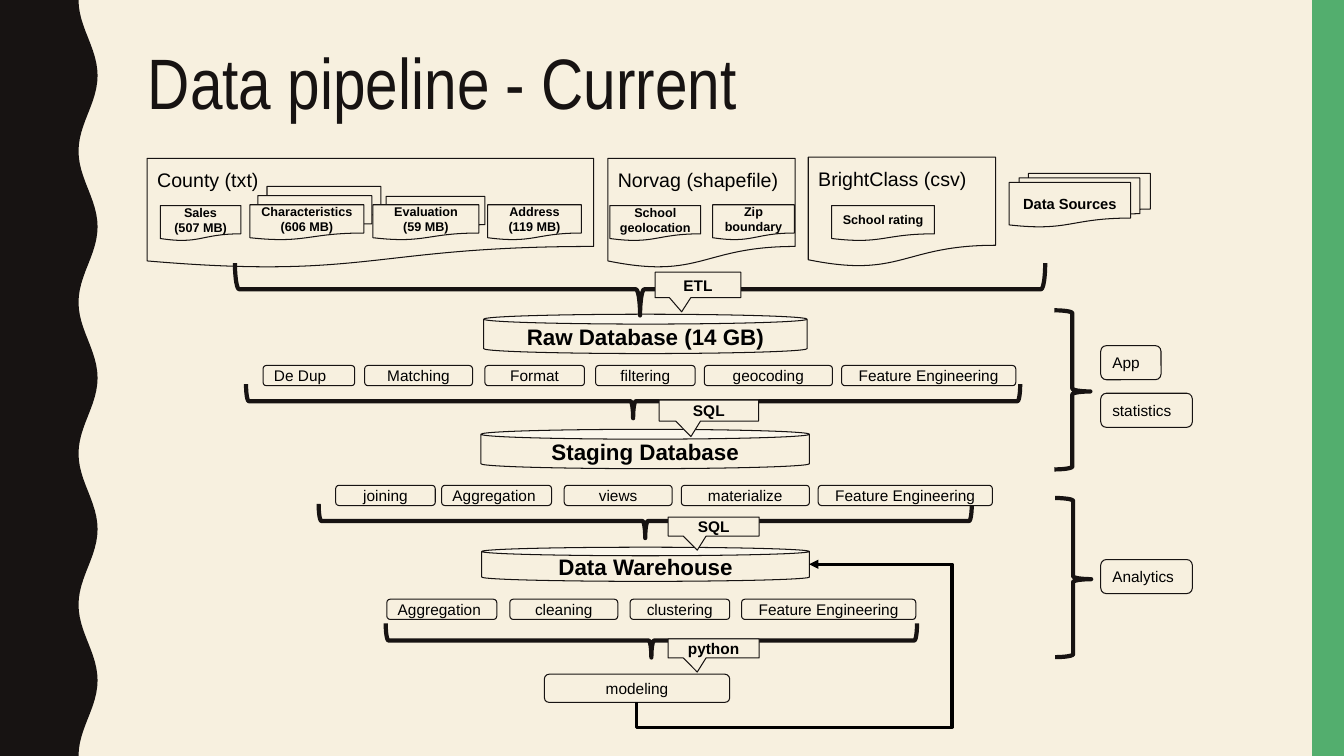
"""Build the slide that shows the current data pipeline."""
import math
from dataclasses import dataclass

from lxml import etree
from pptx import Presentation
from pptx import util as u
from pptx.dml.color import RGBColor
from pptx.enum import shapes, text
from pptx.oxml.ns import qn

KIND = shapes.MSO_SHAPE
CENTER, LEFT = text.PP_ALIGN.CENTER, text.PP_ALIGN.LEFT
TOP, MIDDLE = text.MSO_ANCHOR.TOP, text.MSO_ANCHOR.MIDDLE


@dataclass(frozen=True)
class Theme:
    paper: RGBColor = RGBColor(0xF7, 0xF0, 0xDF)
    ink: RGBColor = RGBColor(0x17, 0x13, 0x12)
    black: RGBColor = RGBColor(0, 0, 0)
    green: RGBColor = RGBColor(0x53, 0xAE, 0x6E)
    body_font: str = "Arial"
    title_font: str = "Arial Narrow"
    title: float = 51
    database: float = 16
    source: float = 14
    step: float = 11
    bundle: float = 10.5
    file: float = 9
    thin: float = 0.75
    arrow: float = 2.25
    thick: float = 3


class Canvas:
    """Hold the theme and the current slide, and draw each kind of element."""

    def __init__(self, slide, theme):
        self.slide, self.theme = slide, theme
        slide.background.fill.solid()
        slide.background.fill.fore_color.rgb = theme.paper

    def paint(self, shape, fill=None, line=None):
        shape.shadow.inherit = False
        if fill is None:
            shape.fill.background()
        else:
            shape.fill.solid()
            shape.fill.fore_color.rgb = fill
        if line is None:
            shape.line.fill.background()
        else:
            shape.line.color.rgb = self.theme.ink
            shape.line.width = u.Pt(line)

    def label(self, shape, words, size, bold=False, align=CENTER, anchor=MIDDLE, **font):
        frame = shape.text_frame
        inset = u.Cm(0.25)
        layout = dict(word_wrap=True, vertical_anchor=anchor, margin_left=inset,
                      margin_right=inset, margin_top=inset, margin_bottom=inset)
        for name, value in layout.items():
            setattr(frame, name, value)
        frame.text = words
        style = dict(name=self.theme.body_font, size=u.Pt(size), bold=bold) | font
        for paragraph in frame.paragraphs:
            paragraph.alignment = align
            for run in paragraph.runs:
                for name, value in style.items():
                    setattr(run.font, name, value)
                run.font.color.rgb = self.theme.black

    def box(self, kind, place, words="", size=11, adjust=(), **style):
        shape = self.slide.shapes.add_shape(kind, *map(u.Cm, place))
        self.paint(shape, self.theme.paper, self.theme.thin)
        for index, value in enumerate(adjust):
            shape.adjustments[index] = value
        if words:
            self.label(shape, words, size, **style)

    def brace(self, left, top, width, height, turned=False):
        if turned:
            left, top = left + (width - height) / 2, top + (height - width) / 2
            width, height = height, width
        shape = self.slide.shapes.add_shape(
            KIND.RIGHT_BRACE, *map(u.Cm, (left, top, width, height)))
        shape.rotation = 90 if turned else 0
        shape.adjustments[0] = 0.08
        shape.adjustments[1] = 0.5 if turned else 0.51
        self.paint(shape, line=self.theme.thick)

    def title(self, place, words):
        shape = self.slide.shapes.add_textbox(*map(u.Cm, place))
        self.label(shape, words, self.theme.title, align=LEFT, anchor=TOP,
                   name=self.theme.title_font)
        shape.text_frame.margin_top = u.Cm(0.13)
        paragraph = shape.text_frame.paragraphs[0]
        paragraph.line_spacing = 0.9
        paragraph.runs[0].font.color.rgb = self.theme.ink

    def wave(self, middle, swing, period, height):
        steps = 120
        depths = [height * step / steps for step in range(steps + 1)]
        edge = [(u.Cm(middle - swing * math.cos(2 * math.pi * depth / period)), u.Cm(depth))
                for depth in depths]
        builder = self.slide.shapes.build_freeform(0, 0)
        builder.add_line_segments(edge + [(0, u.Cm(height))], close=True)
        self.paint(builder.convert_to_shape(), self.theme.ink)

    def bar(self, place):
        shape = self.slide.shapes.add_shape(KIND.RECTANGLE, *map(u.Cm, place))
        self.paint(shape, self.theme.green)

    def feedback(self, left, top, width, height, bends):
        line = self.slide.shapes.add_connector(
            shapes.MSO_CONNECTOR.ELBOW,
            *map(u.Cm, (left, top, left + width, top + height)))
        line.line.color.rgb = self.theme.black
        line.line.width = u.Pt(self.theme.arrow)
        properties = line._element.spPr
        frame = properties.find(qn("a:xfrm"))
        for name, value in dict(rot="5400000", flipH="1", flipV="1").items():
            frame.set(name, value)
        geometry = properties.find(qn("a:prstGeom"))
        geometry.set("prst", "bentConnector4")
        guides = geometry.find(qn("a:avLst"))
        if guides is None:
            guides = etree.SubElement(geometry, qn("a:avLst"))
        for number, bend in enumerate(bends, 1):
            etree.SubElement(guides, qn("a:gd"), name=f"adj{number}",
                             fmla=f"val {round(bend * 100000)}")
        etree.SubElement(properties.find(qn("a:ln")), qn("a:tailEnd"), type="triangle")
        etree.SubElement(properties, qn("a:effectLst"))


SOURCES = [
    ((3.71, 3.99, 11.25, 2.77), "County (txt)"),
    ((15.32, 3.99, 4.72, 2.77), "Norvag (shapefile)"),
    ((20.37, 3.96, 4.72, 2.77), "BrightClass (csv)"),
]
FILES = [
    (9.73, 4.95, 2.49, ""),
    (6.73, 4.7, 2.87, ""),
    (6.5, 4.93, 2.87, ""),
    (6.3, 5.16, 2.87, "Characteristics\n(606 MB)"),
    (4.04, 5.18, 2.03, "Sales\n(507 MB)"),
    (9.4, 5.16, 2.67, "Evaluation\n(59 MB)"),
    (12.29, 5.16, 2.36, "Address\n(119 MB)"),
    (15.37, 5.18, 2.29, "School geolocation"),
    (17.96, 5.16, 2.06, "Zip boundary"),
    (20.96, 5.18, 2.59, "School rating"),
]
DATABASES = [
    ((12.19, 7.92, 8.15, 0.99), "Raw Database (14 GB)"),
    ((12.12, 10.82, 8.28, 0.99), "Staging Database"),
    ((12.14, 13.79, 8.26, 0.86), "Data Warehouse"),
]
HANDOVERS = [
    ((5.92, 6.63, 20.42, 1.32), (16.51, 6.86, 2.16, 0.64), (-0.19, 1.06), "ETL"),
    ((6.2, 9.68, 19.51, 0.86), (16.61, 10.08, 2.51, 0.53), (-0.18, 1.24), "SQL"),
    ((8.03, 12.7, 16.46, 0.86), (16.84, 13.03, 2.29, 0.48), (-0.18, 1.24), "SQL"),
    ((9.72, 15.71, 13.39, 0.86), (16.84, 16.1, 2.29, 0.48), (-0.18, 1.24), "python"),
]
STEPS = {
    9.21: [(6.63, 2.31, "De Dup"), (9.19, 2.72, "Matching"), (12.22, 2.51, "Format"),
           (15.01, 2.51, "filtering"), (17.75, 3.23, "geocoding"),
           (21.21, 4.39, "Feature Engineering")],
    12.23: [(8.46, 2.51, "joining"), (11.13, 2.77, "Aggregation"), (14.22, 2.72, "views"),
            (17.17, 3.23, "materialize"), (20.62, 4.39, "Feature Engineering")],
    15.1: [(9.75, 2.77, "Aggregation"), (12.85, 2.72, "cleaning"),
           (15.88, 2.51, "clustering"), (18.69, 4.39, "Feature Engineering")],
}
LEFT_STEPS = {"De Dup", "Aggregation"}
USES = [(8.71, 1.52, "App"), (9.91, 2.31, "statistics"), (14.1, 2.31, "Analytics")]

theme = Theme()
presentation = Presentation()
presentation.slide_width, presentation.slide_height = u.Cm(33.87), u.Cm(19.05)
canvas = Canvas(presentation.slides.add_slide(presentation.slide_layouts[6]), theme)

canvas.wave(2.22, 0.24, 3.81, 19.05)
canvas.bar((33.07, 0, 0.8, 19.05))
canvas.title((3.48, 1.07, 28.27, 2.9), "Data pipeline - Current")

for place, name in SOURCES:
    canvas.box(KIND.FLOWCHART_DOCUMENT, place, name, theme.source, align=LEFT, anchor=TOP)
for left, top, width, name in FILES:
    canvas.box(KIND.FLOWCHART_DOCUMENT, (left, top, width, 0.89), name, theme.file, bold=True)
canvas.box(KIND.FLOWCHART_MULTIDOCUMENT, (25.43, 4.37, 3.56, 1.35), "Data Sources",
           theme.bundle, bold=True)

for place, name in DATABASES:
    canvas.box(KIND.CAN, place, name, theme.database, adjust=(0.25,), bold=True)
for brace, callout, pointer, name in HANDOVERS:
    canvas.brace(*brace, turned=True)
    canvas.box(KIND.RECTANGULAR_CALLOUT, callout, name, theme.step, adjust=pointer, bold=True)
for top, row in STEPS.items():
    for left, width, name in row:
        canvas.box(KIND.FLOWCHART_ALTERNATE_PROCESS, (left, top, width, 0.51), name, theme.step,
                   align=LEFT if name in LEFT_STEPS else CENTER)
canvas.box(KIND.FLOWCHART_ALTERNATE_PROCESS, (13.72, 16.99, 4.67, 0.71), "modeling", theme.step)

for left, top in ((26.57, 7.82), (26.59, 12.55)):
    canvas.brace(left, top, 0.91, 4.01)
for top, width, name in USES:
    canvas.box(KIND.FLOWCHART_ALTERNATE_PROCESS, (27.74, top, width, 0.86), name, theme.step,
               align=LEFT)
canvas.feedback(16.48, 13.79, 3.48, 4.34, (-0.18, 1.83))

presentation.save("out.pptx")
